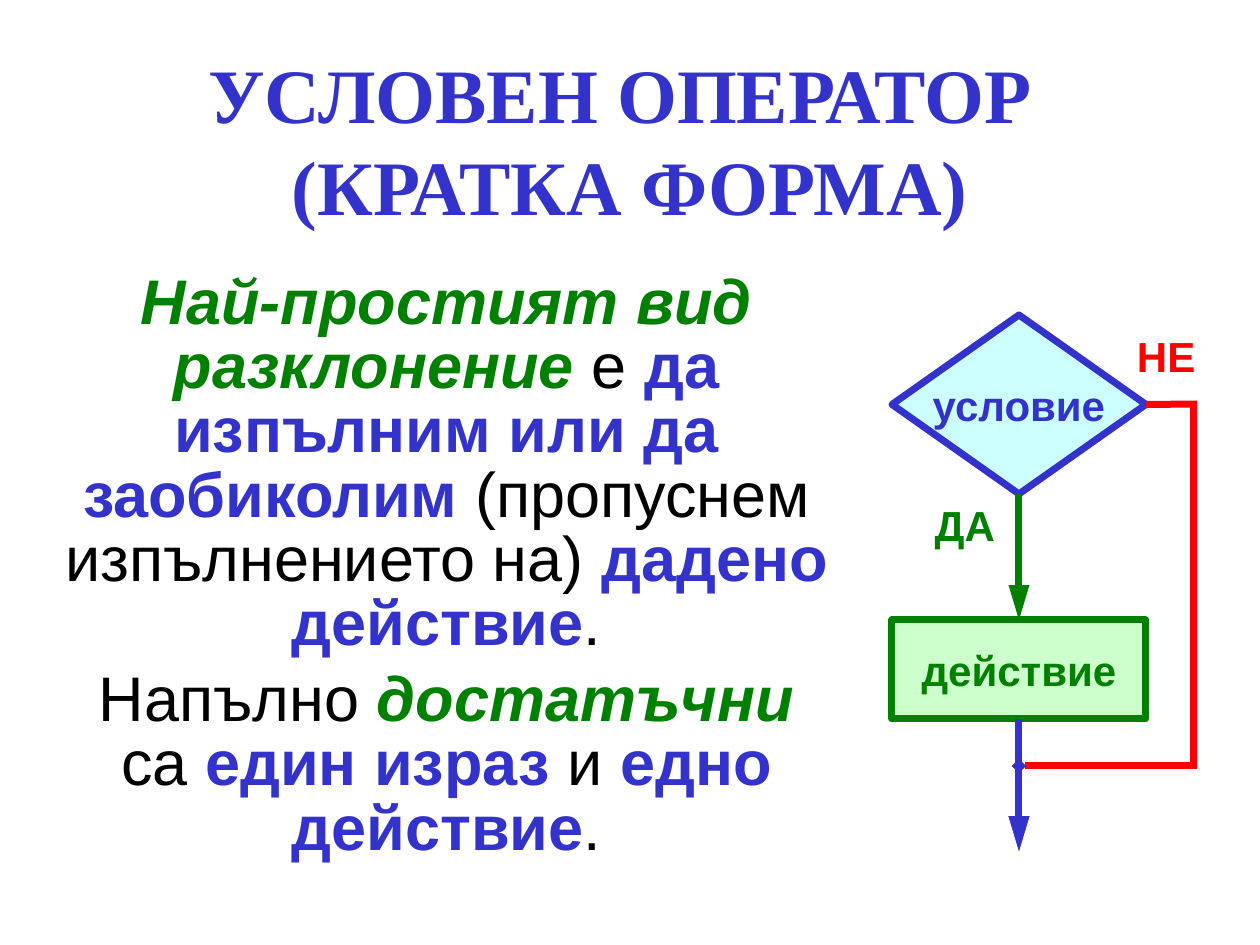
from lxml.etree import SubElement
from pptx import Presentation
from pptx.dml.color import RGBColor
from pptx.enum.shapes import MSO_CONNECTOR, MSO_SHAPE
from pptx.enum.text import MSO_ANCHOR, MSO_AUTO_SIZE, PP_ALIGN
from pptx.oxml.ns import qn
from pptx.util import Pt

SCALE = 914400 / 126
COLORS = {"blue": "3333CC", "green": "008000", "red": "FF0000",
          "black": "000000", "aqua": "CCFFFF", "mint": "CCFFCC"}
WIDTH = 4


def px(n):
    return round(n * SCALE)


def rgb(name):
    return RGBColor.from_string(COLORS[name])


def place(shape, box):
    shape.left, shape.top, shape.width, shape.height = map(px, box)


def style(run, size, color, bold=True, italic=False, face="Arial"):
    font = run.font
    font.name, font.size = face, Pt(size)
    font.bold, font.italic = bold, italic
    font.color.rgb = rgb(color)


def inset(frame, left, top, right, bottom):
    frame.margin_left, frame.margin_top = px(left), px(top)
    frame.margin_right, frame.margin_bottom = px(right), px(bottom)


def title(slide, box):
    shape = slide.shapes.title
    place(shape, box)
    frame = shape.text_frame
    frame.auto_size = MSO_AUTO_SIZE.NONE
    frame.vertical_anchor = MSO_ANCHOR.MIDDLE
    inset(frame, 0, 0, 0, 0)
    frame.text = "УСЛОВЕН ОПЕРАТОР \v(КРАТКА ФОРМА)"
    para = frame.paragraphs[0]
    para.alignment = PP_ALIGN.CENTER
    for run in para.runs:
        style(run, 44, "blue", face="Times New Roman")


def body(slide, box):
    plain = ("black", False, False)
    strong = ("blue", True, False)
    accent = ("green", True, True)
    texts = [
        (11.2, [("Най-простият вид разклонение ", accent), ("е ", plain),
                ("да изпълним или да заобиколим", strong),
                (" (пропуснем изпълнението на) ", plain),
                ("дадено действие", strong), (".", plain)]),
        (6.8, [("Напълно ", plain), ("достатъчни", accent), (" са ", plain),
               ("един израз", strong), (" и ", plain),
               ("едно действие", strong), (".", plain)]),
    ]
    shape = slide.placeholders[1]
    place(shape, box)
    frame = shape.text_frame
    frame.auto_size = MSO_AUTO_SIZE.NONE
    inset(frame, 0, 0, 0, 0)
    for i, (gap, parts) in enumerate(texts):
        para = frame.add_paragraph() if i else frame.paragraphs[0]
        para.alignment = PP_ALIGN.CENTER
        para.line_spacing = 0.85
        para.space_before = Pt(gap)
        props = para._p.get_or_add_pPr()
        props.set("marL", "0")
        props.set("indent", "0")
        SubElement(props, qn("a:buNone"))
        for text, look in parts:
            run = para.add_run()
            run.text = text
            style(run, 36, *look)


def node(slide, kind, box, text, fill, color):
    shape = slide.shapes.add_shape(kind, *map(px, box))
    shape.shadow.inherit = False
    shape.fill.solid()
    shape.fill.fore_color.rgb = rgb(fill)
    shape.line.color.rgb = rgb(color)
    shape.line.width = Pt(WIDTH)
    frame = shape.text_frame
    frame.word_wrap = False
    frame.vertical_anchor = MSO_ANCHOR.MIDDLE
    frame.text = text
    para = frame.paragraphs[0]
    para.alignment = PP_ALIGN.CENTER
    style(para.runs[0], 24, color)
    return shape


def label(slide, box, text, color, align, right):
    frame = slide.shapes.add_textbox(*map(px, box)).text_frame
    frame.word_wrap = True
    inset(frame, 13, 6, right, 6)
    frame.text = text
    para = frame.paragraphs[0]
    para.alignment = align
    para.space_before = Pt(15)
    style(para.runs[0], 24, color)


def link(slide, start, end, color, head=None, tail=None):
    line = slide.shapes.add_connector(
        MSO_CONNECTOR.STRAIGHT, *map(px, start + end))
    line.line.color.rgb = rgb(color)
    line.line.width = Pt(WIDTH)
    stroke = line.line._get_or_add_ln()
    for tag, kind in (("a:headEnd", head), ("a:tailEnd", tail)):
        if kind:
            wide, long = ("med", "lg") if kind == "triangle" else ("sm", "sm")
            SubElement(stroke, qn(tag), type=kind, w=wide, len=long)
    SubElement(line._element.spPr, qn("a:effectLst"))
    return line


def chart(slide, box):
    x, y, w, h = box
    wide, tall = 254, 179
    mid, side, right = x + wide // 2, y + tall // 2, x + w
    step, join, end = y + 305, y + 451, y + h
    test = node(slide, MSO_SHAPE.FLOWCHART_DECISION, (x, y, wide, tall),
                "условие", "aqua", "blue")
    act = node(slide, MSO_SHAPE.FLOWCHART_PROCESS, (x, step, wide, 99),
               "действие", "mint", "green")
    yes = link(slide, (mid, y + tall), (mid, step), "green", tail="triangle")
    yes.begin_connect(test, 2)
    yes.end_connect(act, 0)
    label(slide, (x, y + tall, 116, 63), "ДА", "green", PP_ALIGN.RIGHT, 13)
    label(slide, (x + 232, y + 10, 73, 63), "НЕ", "red", PP_ALIGN.LEFT, 0)
    no = link(slide, (x + wide, side), (right + 3, side), "red")
    no.begin_connect(test, 3)
    link(slide, (right, side - 3), (right, join + 3), "red")
    out = link(slide, (mid, step + 99), (mid, end), "blue", tail="triangle")
    out.begin_connect(act, 2)
    link(slide, (right + 3, join), (mid, join), "red", tail="diamond")
    link(slide, (mid, join), (mid, end), "blue", "diamond", "triangle")


def main():
    deck = Presentation()
    deck.slide_width, deck.slide_height = px(1260), px(945)
    slide = deck.slides.add_slide(deck.slide_layouts[1])
    title(slide, (30, 49, 1200, 179))
    body(slide, (64, 273, 765, 609))
    chart(slide, (892, 315, 302, 536))
    deck.save("out.pptx")


if __name__ == "__main__":
    main()
